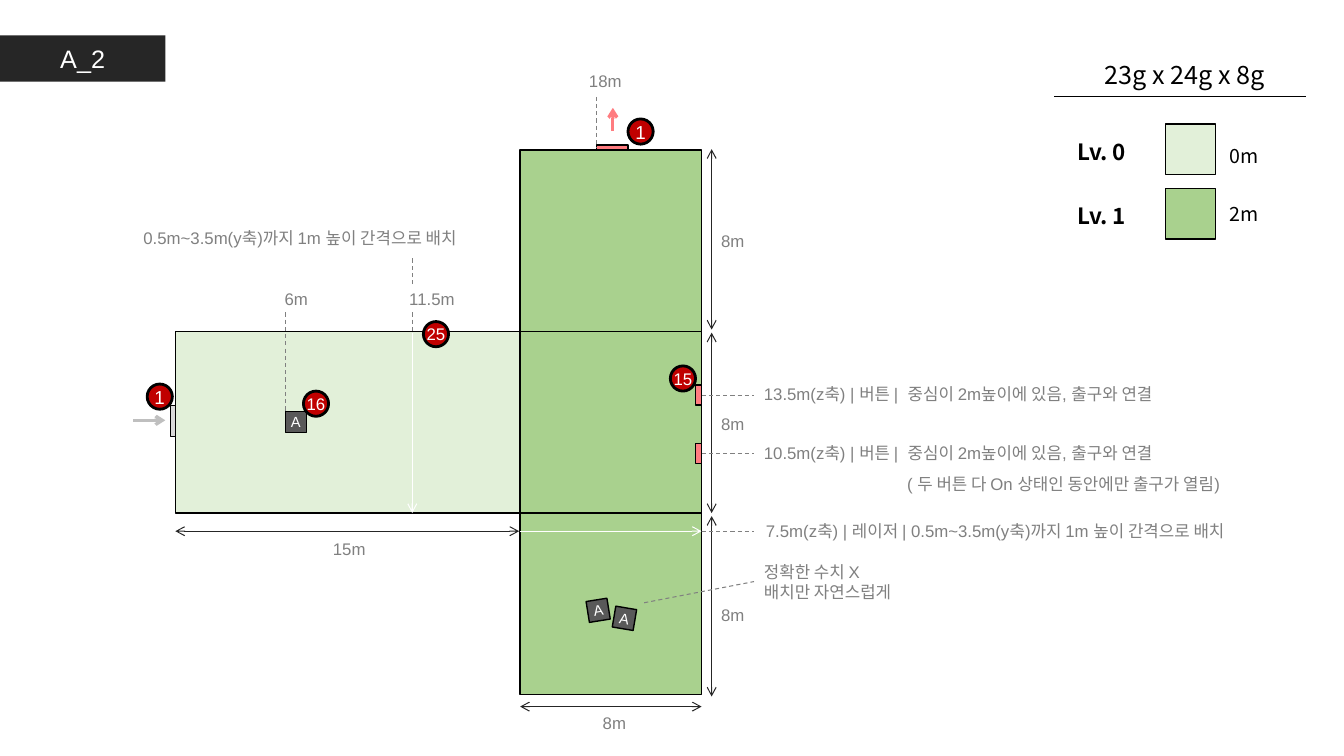
from lxml.etree import SubElement
from pptx import Presentation
from pptx.dml.color import RGBColor
from pptx.enum.dml import MSO_LINE
from pptx.enum.shapes import MSO_CONNECTOR, MSO_SHAPE
from pptx.enum.text import MSO_ANCHOR, PP_ALIGN
from pptx.oxml.ns import qn
from pptx.util import Inches, Pt

COLORS = {
    "black": "000000", "white": "FFFFFF", "ink": "262626", "crate": "595959",
    "label": "808080", "arrow": "BFBFBF", "entry": "D9D9D9", "exit": "FF7C80",
    "badge": "C00000", "low": "E2F0D9", "high": "A9D18E",
}
CELL = 0.1
COLS, ROWS = 133.33, 75
KOREAN = "Noto Sans CJK KR"


def grid(cells):
    return Inches(cells * CELL)


def rgb(name):
    return RGBColor.from_string(COLORS[name])


class Plan:
    def __init__(self, slide):
        self.s = slide
        self.font = "Arial"
        self.size = 12

    def fill_text(self, tf, text, size, color, align, font=None, bold=False):
        tf.text = text
        for p in tf.paragraphs:
            p.alignment = align
            p.font.size = Pt(size)
            p.font.name = font or self.font
            p.font.bold = bold
            p.font.color.rgb = rgb(color)
            props = p.font._element
            ea = props.makeelement(qn("a:ea"), {"typeface": KOREAN})
            props.find(qn("a:latin")).addnext(ea)

    def title(self, text, x, y, w, h):
        sp = self.s.shapes.title
        sp.left, sp.top, sp.width, sp.height = map(grid, (x, y, w, h))
        sp.fill.solid()
        sp.fill.fore_color.rgb = rgb("ink")
        sp.text_frame.vertical_anchor = MSO_ANCHOR.MIDDLE
        self.fill_text(sp.text_frame, text, 18, "white", PP_ALIGN.CENTER)

    def text(self, text, x, y, w, h=3, align=PP_ALIGN.LEFT, size=None,
             color="label", font=None, bold=False):
        tf = self.s.shapes.add_textbox(*map(grid, (x, y, w, h))).text_frame
        tf.word_wrap = True
        self.fill_text(tf, text, size or self.size, color, align, font, bold)

    def shape(self, fill, x, y, w, h, kind=MSO_SHAPE.RECTANGLE, weight=1):
        sp = self.s.shapes.add_shape(kind, *map(grid, (x, y, w, h)))
        sp.shadow.inherit = False
        sp.fill.solid()
        sp.fill.fore_color.rgb = rgb(fill)
        sp.line.color.rgb = rgb("black")
        sp.line.width = Pt(weight)
        return sp

    def mark(self, sp, text, size):
        tf = sp.text_frame
        tf.margin_left = tf.margin_right = tf.margin_top = tf.margin_bottom = 0
        tf.word_wrap = False
        tf.vertical_anchor = MSO_ANCHOR.MIDDLE
        self.fill_text(tf, text, size, "white", PP_ALIGN.CENTER)

    def badge(self, text, x, y, size):
        sp = self.shape("badge", x, y, 2.5, 2.5, MSO_SHAPE.OVAL, 2)
        self.mark(sp, text, size)

    def crate(self, x, y, turn):
        sp = self.shape("crate", x, y, 2.1, 2.1)
        sp.rotation = turn
        self.mark(sp, "A", 10.5)

    def line(self, x1, y1, x2, y2, color="ink", weight=0.75, ends=(), dash=False):
        c = self.s.shapes.add_connector(
            MSO_CONNECTOR.STRAIGHT, *map(grid, (x1, y1, x2, y2)))
        c.line.color.rgb = rgb(color)
        c.line.width = Pt(weight)
        if dash:
            c.line.dash_style = MSO_LINE.DASH
        for end in ends:
            SubElement(c.line._ln, qn(f"a:{end}"), type="arrow")
        SubElement(c._element.spPr, qn("a:effectLst"))

    def dimension(self, x1, y1, x2, y2):
        self.line(x1, y1, x2, y2, ends=("headEnd", "tailEnd"))

    def guide(self, x1, y1, x2, y2):
        self.line(x1, y1, x2, y2, "label", dash=True)


def draw_rooms(plan):
    plan.shape("low", 17.4, 32.9, 34.3, 18)
    for i in (1, 0, 2):
        plan.shape("high", 51.6, 14.9 + 18 * i, 18, 18)
    plan.line(40.9, 33, 40.9, 50.9, "white", ends=("tailEnd",))
    plan.line(51.6, 52.7, 69.6, 52.7, "white", ends=("tailEnd",))


def draw_dimensions(plan):
    for i, label_y in enumerate((22.4, 40.6, 59.5)):
        top = 14.8 + 18.2 * i
        plan.dimension(70.6, top, 70.6, top + 17.9)
        plan.text("8m", 70.5, label_y, 4.4, align=PP_ALIGN.CENTER)
    plan.dimension(17.4, 52.7, 51.5, 52.7)
    plan.dimension(51.6, 70.1, 69.6, 70.1)
    for text, x, y, w in (("15m", 31.6, 53, 6.1), ("8m", 57.9, 70.2, 6.1),
                          ("18m", 57, 6.5, 6.1), ("6m", 27.2, 28.2, 4.4),
                          ("11.5m", 39.2, 28.2, 7.3)):
        plan.text(text, x, y, w, align=PP_ALIGN.CENTER)


def draw_doors(plan):
    plan.shape("entry", 16.9, 40.2, 0.5, 3.1, weight=0.75)
    plan.line(13.2, 41.7, 16.4, 41.7, "arrow", 2.25, ("tailEnd",))
    plan.shape("exit", 59.2, 14.4, 3.1, 0.5)
    plan.line(60.8, 13, 60.8, 10.7, "exit", 2.25, ("tailEnd",))


def draw_notes(plan):
    for i, distance in enumerate(("13.5m", "10.5m")):
        y = 39.2 + 5.8 * i
        plan.shape("exit", 69, y - 1, 0.6, 2)
        plan.guide(69.6, y, 74.8, y)
        plan.text(f"{distance}(z축) | 버튼 |  중심이 2m높이에 있음, 출구와 연결",
                  74.8, y - 1.6, 43.6)
    plan.text("( 두 버튼 다 On 상태인 동안에만 출구가 열림)", 89, 46.5, 39.1)
    plan.text("7.5m(z축) | 레이저 | 0.5m~3.5m(y축)까지 1m 높이 간격으로 배치",
              75, 51.2, 52.3)
    plan.text("정확한 수치 X\n배치만 자연스럽게", 74.8, 55.2, 16.8, 5)
    plan.text("0.5m~3.5m(y축)까지 1m 높이 간격으로 배치", 6.3, 22.1, 40,
              align=PP_ALIGN.RIGHT)
    for ends in ((69.6, 52.7, 74.8, 52.7), (63.9, 59.8, 74.8, 57.7),
                 (59.2, 9.6, 59.2, 14.7), (28.3, 31, 28.3, 41.2),
                 (40.9, 31, 40.9, 33), (40.9, 28.2, 40.9, 25.4)):
        plan.guide(*ends)


def draw_items(plan):
    for x, y, turn in ((28.3, 40.8, 0), (58.3, 59.5, 350.9), (60.9, 60.3, 9.6)):
        plan.crate(x, y, turn)
    for text, x, y, size in (("1", 14.6, 38.1, 13.4), ("1", 62.3, 11.8, 13.4),
                             ("16", 30.1, 38.8, 12), ("25", 42, 31.9, 12),
                             ("15", 66.5, 36.3, 12)):
        plan.badge(text, x, y, size)


def draw_legend(plan):
    plan.line(104.6, 9.6, 129.6, 9.6, "black", 1)
    plan.text("23g x 24g x 8g", 106.5, 5.4, 22, 4, PP_ALIGN.CENTER, 18,
              "black", KOREAN)
    for level, fill, height, y, height_y in ((0, "low", "0m", 12.3, 13.8),
                                             (1, "high", "2m", 18.7, 19.5)):
        plan.shape(fill, 115.6, y, 5, 5)
        plan.text(height, 121, height_y, 7.1, 3.3, size=14, color="black",
                  font=KOREAN)
        plan.text(f"Lv. {level}", 105.9, y + 0.9, 10.7, 3.6, size=16,
                  color="black", font=KOREAN, bold=True)


def main():
    prs = Presentation()
    prs.slide_width, prs.slide_height = grid(COLS), grid(ROWS)
    plan = Plan(prs.slides.add_slide(prs.slide_layouts[5]))
    plan.title("A_2", 0, 3.5, 16.4, 4.6)
    for draw in (draw_rooms, draw_dimensions, draw_doors, draw_notes,
                 draw_items, draw_legend):
        draw(plan)
    prs.save("out.pptx")


if __name__ == "__main__":
    main()
